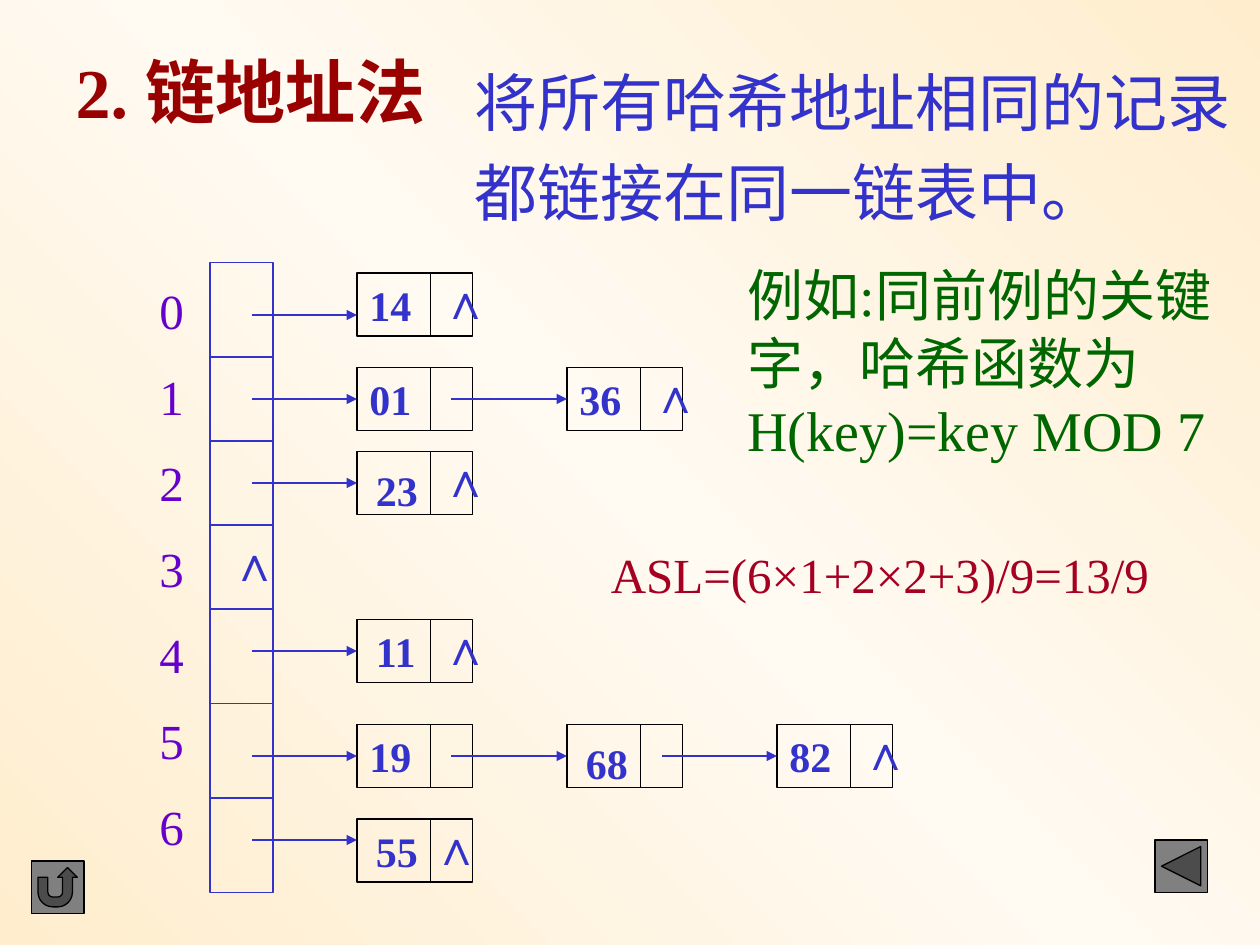
from copy import deepcopy

from pptx import Presentation
from pptx.dml.color import RGBColor
from pptx.enum.shapes import MSO_CONNECTOR as Connector, MSO_SHAPE as Preset
from pptx.enum.text import MSO_ANCHOR as Anchor, MSO_AUTO_SIZE as AutoSize, PP_ALIGN as Align
from pptx.oxml.ns import qn
from pptx.util import Pt
from lxml.etree import SubElement

BLUE, BLACK, GREY = "3333CC", "000000", "808080"
CREAM, IVORY = "FFEDCD", "FFFAF2"
COLUMN_LEFT, COLUMN_TOP, COLUMN_WIDTH, COLUMN_HEIGHT = 120, 150, 36, 360
DIVIDERS = [204, 252, 300, 348, 402, 456]
NODE_LEFT, NODE_STEP, NODE_WIDTH, NODE_HEIGHT = 204, 120, 66, 36
KEY_WIDTH, LINK_START, NUDGE = 42, 54, 3.6
KEY_FORMAT = {"size": Pt(24), "bold": True}
CHAINS = [
    {"top": 156, "arrow": 24, "keys": ["14"]},
    {"top": 210, "arrow": 18, "keys": ["01", "36"]},
    {"top": 258, "arrow": 18, "keys": ["23"]},
    {"top": 354, "arrow": 18, "keys": ["11"]},
    {"top": 414, "arrow": 18, "keys": ["19", "68", "82"]},
    {"top": 468, "arrow": 12, "keys": ["55"], "caret": 36},
]
KEY_NUDGES = {"23": (NUDGE, NUDGE), "11": (NUDGE, 0), "68": (NUDGE, NUDGE), "55": (NUDGE, 0)}


def color(value):
    """Turn a hex string into a colour."""
    return RGBColor.from_string(value)


def set_values(target, values):
    """Set each attribute of the target from a dict."""
    for name, value in values.items():
        setattr(target, name, value)


def write(frame, lines, hue, font, paragraph_format=None):
    """Fill a text frame with one formatted paragraph per line."""
    for index, line in enumerate(lines):
        paragraph = frame.paragraphs[0] if index == 0 else frame.add_paragraph()
        set_values(paragraph, {"alignment": Align.LEFT, **(paragraph_format or {})})
        run = paragraph.add_run()
        run.text = line
        set_values(run.font, {"name": "Times New Roman", **font})
        run.font.color.rgb = color(hue)


def add_text(slide, box, lines, hue, font, wrap=True, paragraph_format=None):
    """Add a text box that fits its text."""
    frame = slide.shapes.add_textbox(*map(Pt, box)).text_frame
    set_values(frame, {"word_wrap": wrap, "auto_size": AutoSize.SHAPE_TO_FIT_TEXT})
    write(frame, lines, hue, font, paragraph_format)


def add_caret(slide, left, top):
    """Add the mark of an empty pointer."""
    add_text(slide, (left, top, 32, 41), ["∧"], BLUE, {"size": Pt(28), "bold": True}, wrap=False)


def add_box(slide, preset, box, line, fill=None):
    """Add an outlined preset shape, filled if a colour is given."""
    shape = slide.shapes.add_shape(preset, *map(Pt, box))
    shape.shadow.inherit = False
    shape.line.color.rgb = color(line)
    shape.line.width = Pt(0.75)
    if fill:
        shape.fill.solid()
        shape.fill.fore_color.rgb = color(fill)
    else:
        shape.fill.background()
    return shape


def add_line(slide, start, end, hue, width=0.75):
    """Add a straight line without a shadow."""
    line = slide.shapes.add_connector(Connector.STRAIGHT, *map(Pt, (*start, *end)))
    line.line.color.rgb = color(hue)
    line.line.width = Pt(width)
    SubElement(line.element.spPr, qn("a:effectLst"))
    return line


def add_arrow(slide, left, y, node):
    """Add an arrow to a node, joined when it meets the middle of its side."""
    arrow = add_line(slide, (left, y), (node.left.pt, y), BLUE, 1.5)
    SubElement(arrow.line._get_or_add_ln(), qn("a:tailEnd"), type="triangle")
    if Pt(y) == node.top + node.height // 2:
        arrow.end_connect(node, 1)


def add_node(slide, left, top, key):
    """Add a list node with a key cell and a pointer cell."""
    node = add_box(slide, Preset.RECTANGLE, (left, top, NODE_WIDTH, NODE_HEIGHT), BLACK)
    right, down = KEY_NUDGES.get(key, (0, 0))
    frame = node.text_frame
    set_values(frame, {
        "word_wrap": True, "vertical_anchor": Anchor.MIDDLE,
        "margin_left": Pt(7.2 + right),
        "margin_top": Pt(3.6 + down), "margin_bottom": Pt(3.6 - down),
    })
    write(frame, [key], BLUE, KEY_FORMAT)
    divider = left + KEY_WIDTH
    add_line(slide, (divider, top), (divider, top + NODE_HEIGHT), BLACK)
    return node


def add_chain(slide, top, arrow, keys, caret=41):
    """Add the linked nodes of one hash address."""
    start = COLUMN_LEFT + 24
    for index, key in enumerate(keys):
        left = NODE_LEFT + index * NODE_STEP
        node = add_node(slide, left, top, key)
        add_arrow(slide, start, top + arrow, node)
        start = left + LINK_START
    add_caret(slide, left + caret, top - 5)


def add_address_column(slide):
    """Add the table of hash addresses with its numbers."""
    add_box(slide, Preset.RECTANGLE, (COLUMN_LEFT, COLUMN_TOP, COLUMN_WIDTH, COLUMN_HEIGHT), BLUE)
    for y in DIVIDERS:
        add_line(slide, (COLUMN_LEFT, y), (COLUMN_LEFT + COLUMN_WIDTH, y), BLUE)
    add_text(slide, (84, 157, 42, 330), [str(number) for number in range(7)], "6600CC",
             {"size": Pt(28)}, paragraph_format={"space_before": Pt(15.5)})
    add_caret(slide, 124.5, 301)


def set_background(slide):
    """Give the slide a diagonal gradient with a light middle."""
    fill = slide.background.fill
    fill.gradient()
    fill.gradient_angle = 45
    stops = slide.element.find(".//" + qn("a:gsLst"))
    stops.insert(1, deepcopy(stops[0]))
    for stop, position, hue in zip(fill.gradient_stops, (0, 0.5, 1), (CREAM, IVORY, CREAM)):
        stop.position = position
        stop.color.rgb = color(hue)


def set_title(slide, text):
    """Place and format the title."""
    title = slide.shapes.title
    set_values(title, dict(zip(("left", "top", "width", "height"), map(Pt, (36, 24, 220, 104)))))
    set_values(title.text_frame, {
        "word_wrap": True, "vertical_anchor": Anchor.TOP, "auto_size": AutoSize.NONE,
    })
    write(title.text_frame, [text], "990000", {"size": Pt(40), "bold": True})


def main():
    """Build the slide on chained hashing."""
    presentation = Presentation()
    set_values(presentation, {"slide_width": Pt(720), "slide_height": Pt(540)})
    slide = presentation.slides.add_slide(presentation.slide_layouts[5])
    set_background(slide)
    set_title(slide, "2. 链地址法")
    add_text(slide, (264, 24, 462, 111), ["将所有哈希地址相同的记录", "都链接在同一链表中。"], BLUE,
             {"size": Pt(36)}, paragraph_format={"line_spacing": 1.2})
    add_address_column(slide)
    for chain in CHAINS:
        add_chain(slide, **chain)
    add_text(slide, (342, 307.5, 347, 41), ["ASL=(6×1+2×2+3)/9=13/9"], "A50021",
             {"size": Pt(28)}, wrap=False)
    add_text(slide, (420, 145.5, 300, 122), ["例如:同前例的关键字，哈希函数为 H(key)=key MOD 7"],
             "006600", {"size": Pt(32)})
    add_box(slide, Preset.ACTION_BUTTON_BACK_OR_PREVIOUS, (660, 480, 30, 30), BLACK, GREY)
    add_box(slide, Preset.ACTION_BUTTON_RETURN, (18, 492, 30, 30), BLACK, GREY)
    presentation.save("out.pptx")


if __name__ == "__main__":
    main()
